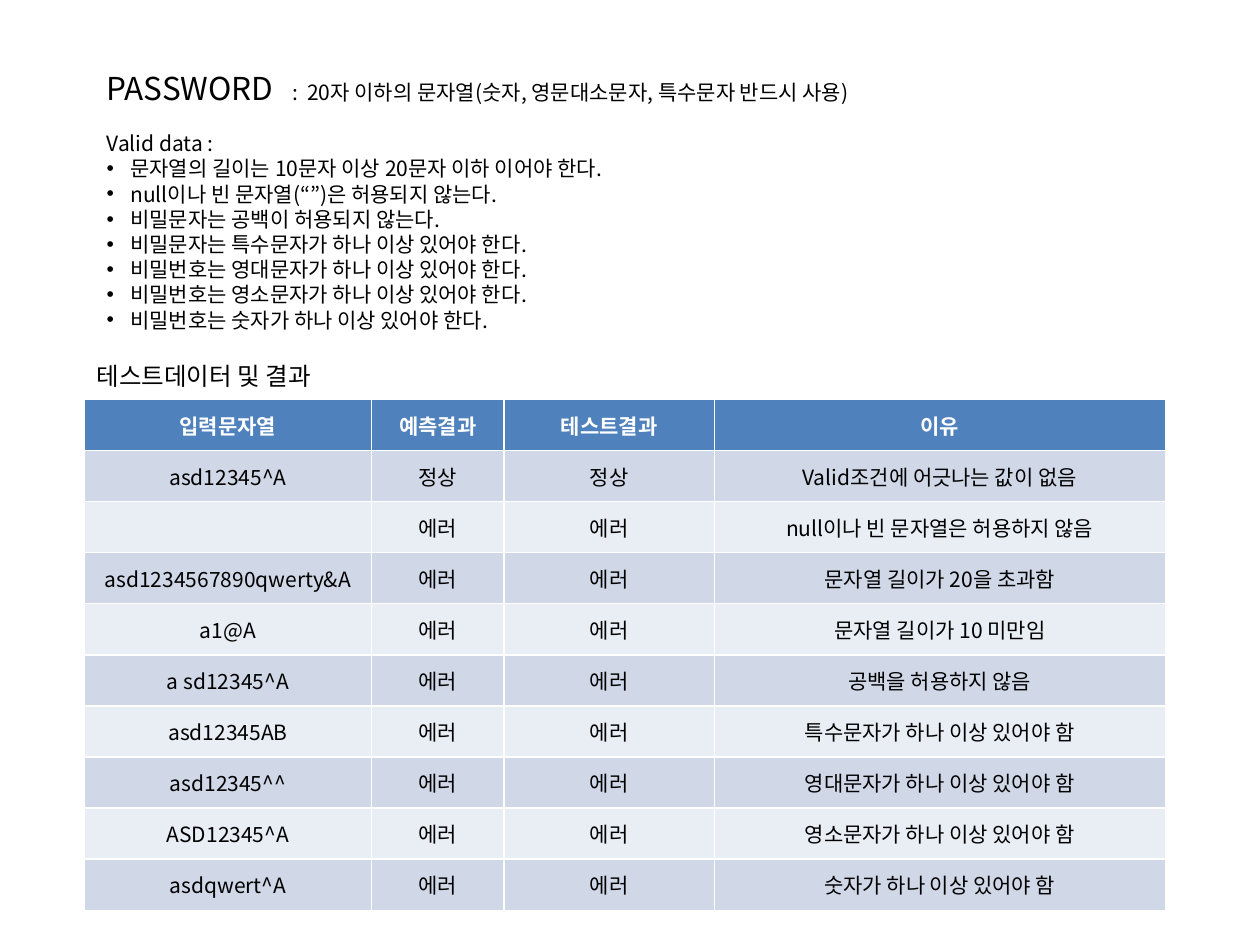
from lxml import etree
from pptx import Presentation
from pptx.dml.color import RGBColor
from pptx.enum.text import MSO_ANCHOR, PP_ALIGN
from pptx.oxml.ns import qn
from pptx.util import Cm, Pt

CENTER = PP_ALIGN.CENTER
MIDDLE = MSO_ANCHOR.MIDDLE

FONT = "Noto Sans CJK KR"
BLACK = RGBColor(0x00, 0x00, 0x00)
WHITE = RGBColor(0xFF, 0xFF, 0xFF)
HEADER_BLUE = RGBColor(0x4F, 0x81, 0xBD)
BAND_DARK = RGBColor(0xD0, 0xD8, 0xE8)
BAND_LIGHT = RGBColor(0xE9, 0xED, 0xF4)

BULLET_INDENT = Cm(0.48)
COLUMN_WIDTHS = (5.79, 2.67, 4.24, 9.09)
ROW_HEIGHT = 1.03

RULES = (
    "문자열의 길이는 10문자 이상 20문자 이하 이어야 한다.",
    "null이나 빈 문자열(“”)은 허용되지 않는다.",
    "비밀문자는 공백이 허용되지 않는다.",
    "비밀문자는 특수문자가 하나 이상 있어야 한다.",
    "비밀번호는 영대문자가 하나 이상 있어야 한다.",
    "비밀번호는 영소문자가 하나 이상 있어야 한다.",
    "비밀번호는 숫자가 하나 이상 있어야 한다.",
)
HEADINGS = ("입력문자열", "예측결과", "테스트결과", "이유")
# Input, outcome (both expected and tested), reason
TEST_CASES = (
    ("asd12345^A", "정상", "Valid조건에 어긋나는 값이 없음"),
    ("", "에러", "null이나 빈 문자열은 허용하지 않음"),
    ("asd1234567890qwerty&A", "에러", "문자열 길이가 20을 초과함"),
    ("a1@A", "에러", "문자열 길이가 10 미만임"),
    ("a sd12345^A", "에러", "공백을 허용하지 않음"),
    ("asd12345AB", "에러", "특수문자가 하나 이상 있어야 함"),
    ("asd12345^^", "에러", "영대문자가 하나 이상 있어야 함"),
    ("ASD12345^A", "에러", "영소문자가 하나 이상 있어야 함"),
    ("asdqwert^A", "에러", "숫자가 하나 이상 있어야 함"),
)


def style_paragraph(paragraph, size, color=BLACK, bold=False):
    """Set the font of a whole paragraph, for Latin and Korean text."""
    font = paragraph.font
    font.size = Pt(size)
    font.bold = bold
    font.color.rgb = color
    font.name = FONT
    latin = font._element.find(qn("a:latin"))
    latin.addnext(etree.Element(qn("a:ea"), typeface=FONT))


def add_bullet(paragraph):
    """Give a paragraph a round bullet with a hanging indent."""
    properties = paragraph._p.get_or_add_pPr()
    properties.set("marL", str(BULLET_INDENT))
    properties.set("indent", str(-BULLET_INDENT))
    etree.SubElement(properties, qn("a:buFont"), typeface="Arial")
    etree.SubElement(properties, qn("a:buChar"), char="•")


def add_text(slide, left, top, width, height, lines, size, wrap=False):
    """Add a text box with one paragraph per line and return its paragraphs."""
    box = slide.shapes.add_textbox(Cm(left), Cm(top), Cm(width), Cm(height))
    frame = box.text_frame
    frame.word_wrap = wrap
    frame.text = "\n".join(lines)
    for index, paragraph in enumerate(frame.paragraphs):
        if index:
            add_bullet(paragraph)
        style_paragraph(paragraph, size)
    return frame.paragraphs


def fill_cell(cell, text, fill, color, bold):
    """Write centred text into a table cell with a solid fill."""
    cell.text = text
    cell.vertical_anchor = MIDDLE
    cell.fill.solid()
    cell.fill.fore_color.rgb = fill
    paragraph = cell.text_frame.paragraphs[0]
    paragraph.alignment = CENTER
    style_paragraph(paragraph, 12, color, bold)


def add_results_table(slide, left, top):
    """Add the table of test inputs, outcomes and reasons."""
    rows = [HEADINGS]
    rows += [(entry, outcome, outcome, reason) for entry, outcome, reason in TEST_CASES]
    results = slide.shapes.add_table(
        len(rows), len(HEADINGS), Cm(left), Cm(top),
        Cm(sum(COLUMN_WIDTHS)), Cm(ROW_HEIGHT * len(rows)),
    ).table
    for column, width in zip(results.columns, COLUMN_WIDTHS):
        column.width = Cm(width)
    for row_index, texts in enumerate(rows):
        results.rows[row_index].height = Cm(ROW_HEIGHT)
        is_header = row_index == 0
        band = BAND_DARK if row_index % 2 else BAND_LIGHT
        fill, color = (HEADER_BLUE, WHITE) if is_header else (band, BLACK)
        for column_index, text in enumerate(texts):
            fill_cell(results.cell(row_index, column_index), text, fill, color, is_header)


def main():
    """Build the password test slide and save it."""
    presentation = Presentation()
    presentation.slide_width = Cm(25.4)
    presentation.slide_height = Cm(19.05)
    slide = presentation.slides.add_slide(presentation.slide_layouts[6])

    add_text(slide, 1.9, 1.27, 3.89, 1.03, ["PASSWORD"], 18)
    summary = add_text(
        slide, 5.64, 1.22, 16.18, 0.91,
        [":  20자 이하의 문자열(숫자, 영문대소문자, 특수문자 반드시 사용)"], 12, wrap=True,
    )
    summary[0].line_spacing = 1.5
    add_text(slide, 1.9, 2.51, 11.63, 4.37, ["Valid data :", *RULES], 12)
    add_text(slide, 1.7, 7.16, 5.36, 0.86, ["테스트데이터 및 결과"], 14)
    add_results_table(slide, 1.7, 8.05)

    presentation.save("out.pptx")


if __name__ == "__main__":
    main()
